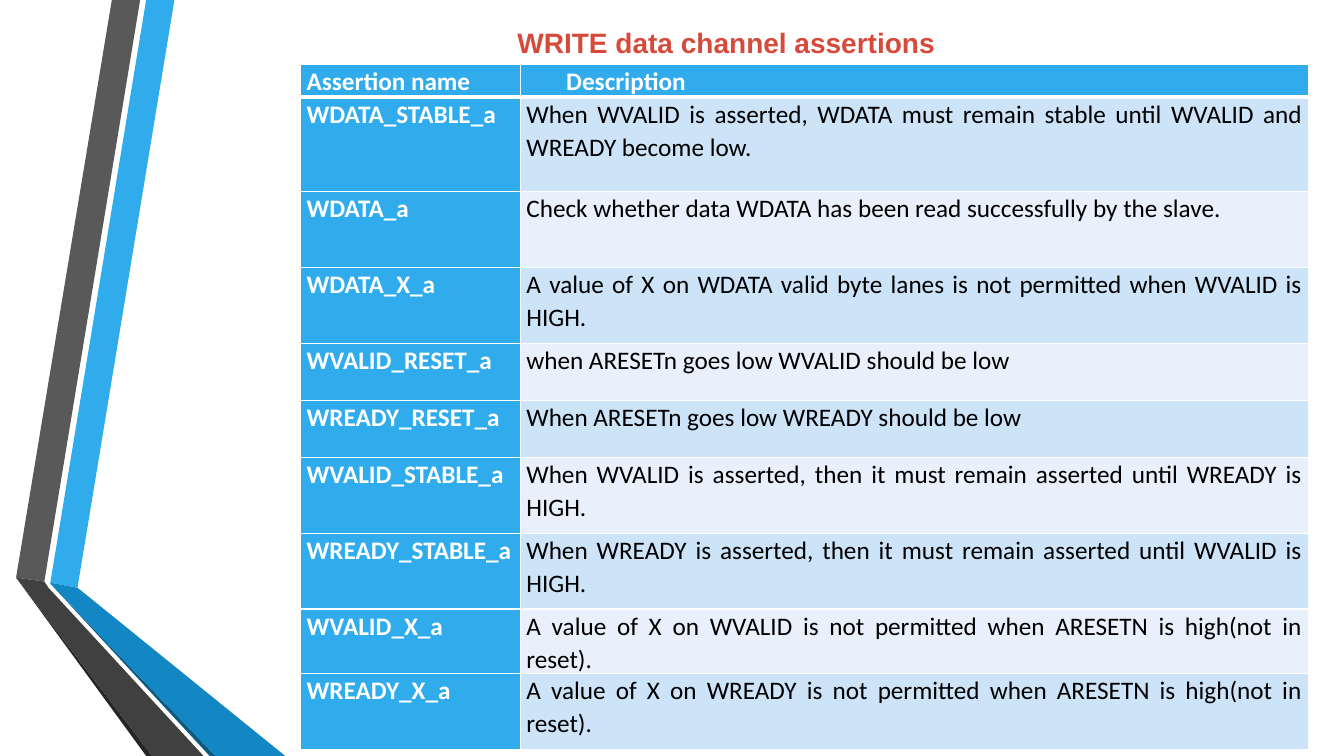
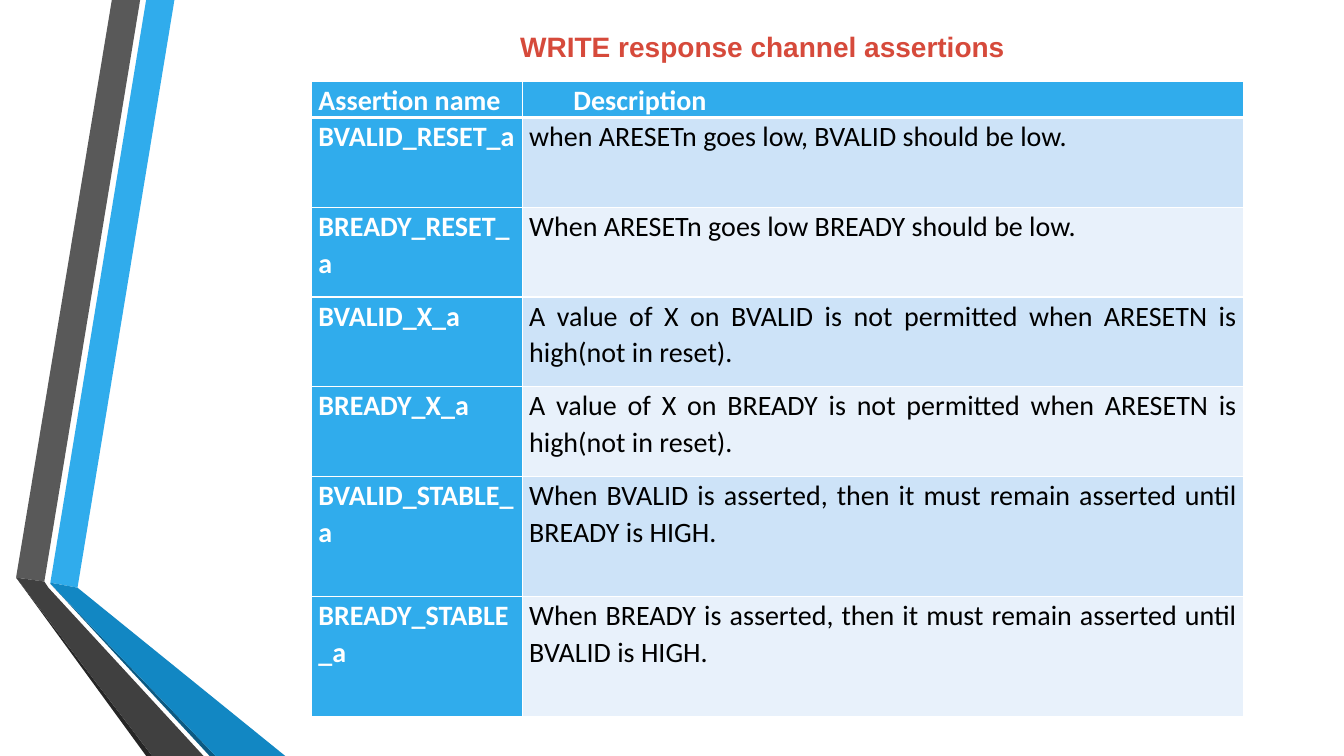
from lxml.etree import SubElement
from pptx import Presentation
from pptx.dml.color import RGBColor as Rgb
from pptx.enum.text import MSO_ANCHOR as Anchor, PP_ALIGN as Align
from pptx.oxml.ns import qn
from pptx.util import Pt

COLORS = {
    "blue": "30ACEC", "deep": "1287C3", "navy": "0C5A82",
    "gray": "595959", "coal": "404040", "dark": "262626",
    "title": "D64A3B", "odd": "CDE3F8", "even": "E8F1FB",
    "white": "FFFFFF", "black": "000000",
}

BANDS = [
    ("blue", [(36, 416.2), (55.4, 419.8), (124.6, 0), (104.4, 0)]),
    ("gray", [(100.1, 0), (79.9, 0), (11.5, 412.6), (31.7, 415.4)]),
    ("dark", [(11.5, 412.6), (104.4, 540), (108.7, 540)]),
    ("navy", [(36, 416.9), (149.8, 540), (154.1, 540)]),
    ("deep", [(36, 416.2), (36, 416.9), (154.1, 540), (203.8, 540),
              (55.4, 419.8)]),
    ("coal", [(145.4, 540), (34.6, 419.8), (31.7, 415.4), (11.5, 412.6),
              (108.7, 540)]),
]

HEAD = ("Assertion name", "Description")

DATA = [
    ("WDATA_STABLE_a", "When WVALID is asserted, WDATA must remain stable "
     "until WVALID and WREADY become low."),
    ("WDATA_a", "Check whether data WDATA has been read successfully by the "
     "slave."),
    ("WDATA_X_a", "A value of X on WDATA valid byte lanes is not permitted "
     "when WVALID is HIGH."),
    ("WVALID_RESET_a", "when ARESETn goes low WVALID should be low"),
    ("WREADY_RESET_a", "When ARESETn goes low WREADY should be low"),
    ("WVALID_STABLE_a", "When WVALID is asserted, then it must remain "
     "asserted until WREADY is HIGH."),
    ("WREADY_STABLE_a", "When WREADY is asserted, then it must remain "
     "asserted until WVALID is HIGH."),
    ("WVALID_X_a", "A value of X on WVALID is not permitted when ARESETN is "
     "high(not in reset)."),
    ("WREADY_X_a", "A value of X on WREADY is not permitted when ARESETN is "
     "high(not in reset)."),
]

REPLY = [
    ("BVALID_RESET_a", "when ARESETn goes low, BVALID should be low."),
    ("BREADY_RESET_a", "When ARESETn goes low BREADY should be low."),
    ("BVALID_X_a", "A value of X on BVALID is not permitted when ARESETN is "
     "high(not in reset)."),
    ("BREADY_X_a", "A value of X on BREADY is not permitted when ARESETN is "
     "high(not in reset)."),
    ("BVALID_STABLE_a", "When BVALID is asserted, then it must remain "
     "asserted until BREADY is HIGH."),
    ("BREADY_STABLE_a", "When BREADY is asserted, then it must remain "
     "asserted until BVALID is HIGH."),
]


def color(name):
    """Return the named colour."""
    return Rgb.from_string(COLORS[name])


def write(frame, text, font, size, tone, bold, align):
    """Write one run into the first paragraph and return the paragraph."""
    par = frame.paragraphs[0]
    par.alignment = align
    run = par.add_run()
    run.text = text
    run.font.name, run.font.size, run.font.bold = font, Pt(size), bold
    run.font.color.rgb = color(tone)
    return par


def add_bands(slide):
    """Draw the folded ribbons along the left edge."""
    for tone, points in BANDS:
        spots = [(Pt(x), Pt(y)) for x, y in points]
        form = slide.shapes.build_freeform(*spots[0], scale=1.0)
        form.add_line_segments(spots[1:], close=True)
        band = form.convert_to_shape()
        band.shadow.inherit = False
        band.fill.solid()
        band.fill.fore_color.rgb = color(tone)
        band.line.fill.background()


def add_title(slide, box, text):
    """Centre the title in its box."""
    frame = slide.shapes.add_textbox(*map(Pt, box)).text_frame
    frame.word_wrap = True
    frame.vertical_anchor = Anchor.MIDDLE
    write(frame, text, "Arial", 20, "title", True, Align.CENTER)


def add_edges(cell, head):
    """Give a cell white borders, thick below the header and thin elsewhere."""
    props = cell._tc.get_or_add_tcPr()
    for spot, side in enumerate("LRTB"):
        thick = side == "B" if head == 0 else head == 1 and side == "T"
        line = SubElement(props, qn(f"a:ln{side}"), w=str(Pt(3 if thick else 1)))
        fill = SubElement(line, qn("a:solidFill"))
        SubElement(fill, qn("a:srgbClr"), val=COLORS["white"])
        props.insert(spot, line)


def fill_cell(cell, text, row, col, size, inset):
    """Style one cell by its row and column."""
    label = row == 0 or col == 0
    cell.fill.solid()
    tone = "blue" if label else "odd" if row % 2 else "even"
    cell.fill.fore_color.rgb = color(tone)
    indent = 1.58 * size if (row, col) == (0, 1) else 0
    cell.margin_left, cell.margin_right = Pt(inset + indent), Pt(inset)
    cell.margin_top = cell.margin_bottom = 0
    par = write(cell.text_frame, text, "Calibri", size,
                "white" if label else "black", label, Align.JUSTIFY)
    par.line_spacing = 1.07
    add_edges(cell, row)


def add_grid(slide, left, top, widths, heights, rows, size, inset):
    """Build the table of assertions."""
    grid = slide.shapes.add_table(
        len(heights), len(widths), Pt(left), Pt(top),
        Pt(sum(widths)), Pt(sum(heights))).table
    for col, width in zip(grid.columns, widths):
        col.width = Pt(width)
    for row, (high, texts) in enumerate(zip(heights, [HEAD] + rows)):
        grid.rows[row].height = Pt(high)
        for col, text in enumerate(texts):
            fill_cell(grid.cell(row, col), text, row, col, size, inset)


def add_page(deck, title, box, grid):
    """Add a slide with bands, a title and a table."""
    slide = deck.slides.add_slide(deck.slide_layouts[6])
    add_bands(slide)
    add_title(slide, box, title)
    add_grid(slide, **grid)


def main():
    """Build and save the deck."""
    deck = Presentation()
    deck.slide_width, deck.slide_height = Pt(960), Pt(540)
    add_page(deck, "WRITE data channel assertions", (117.4, 5.8, 802.8, 49), {
        "left": 214.6, "top": 46.2, "widths": (157, 563),
        "heights": (16, 67.7, 54.2, 54.2, 40.6, 40.6, 54.2, 54.2, 40.6, 54.2),
        "rows": DATA, "size": 18, "inset": 4.4})
    add_page(deck, "WRITE response channel assertions",
             (143.3, 10.8, 802.8, 44.6), {
                 "left": 222.5, "top": 58.3, "widths": (150.5, 515.5),
                 "heights": (21, *[64.1] * 4, *[85.7] * 2),
                 "rows": REPLY, "size": 20, "inset": 5})
    deck.save("out.pptx")


main()
